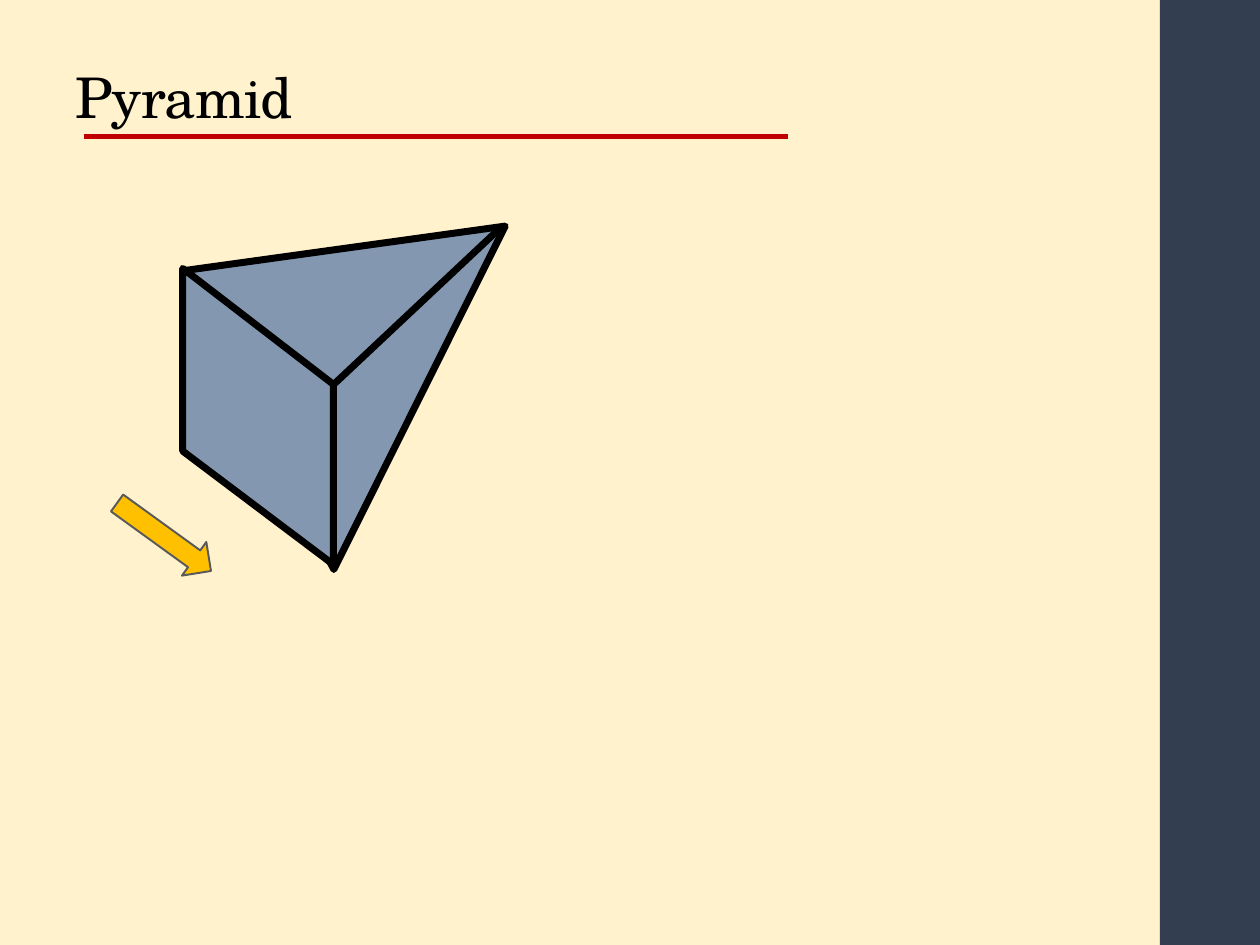
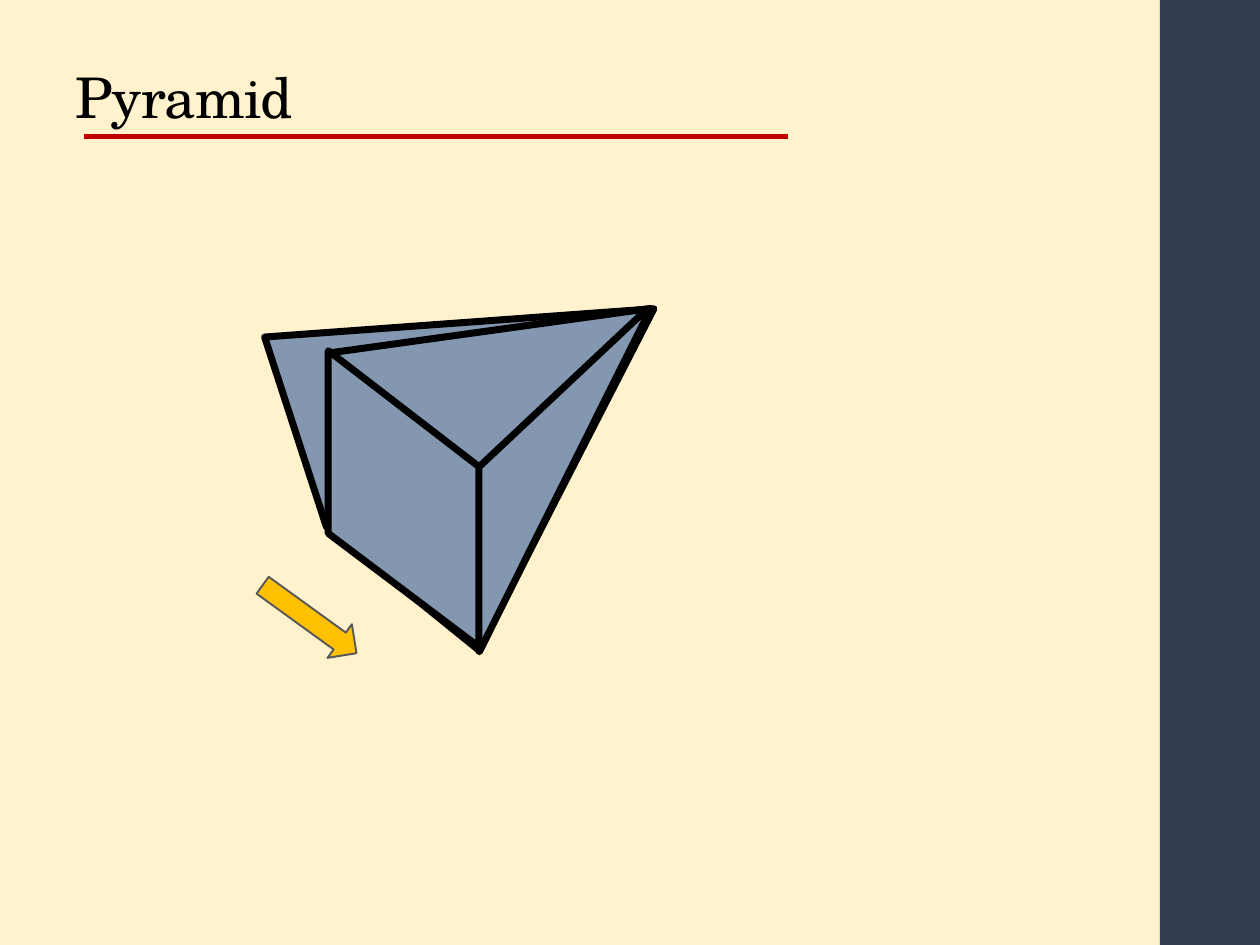
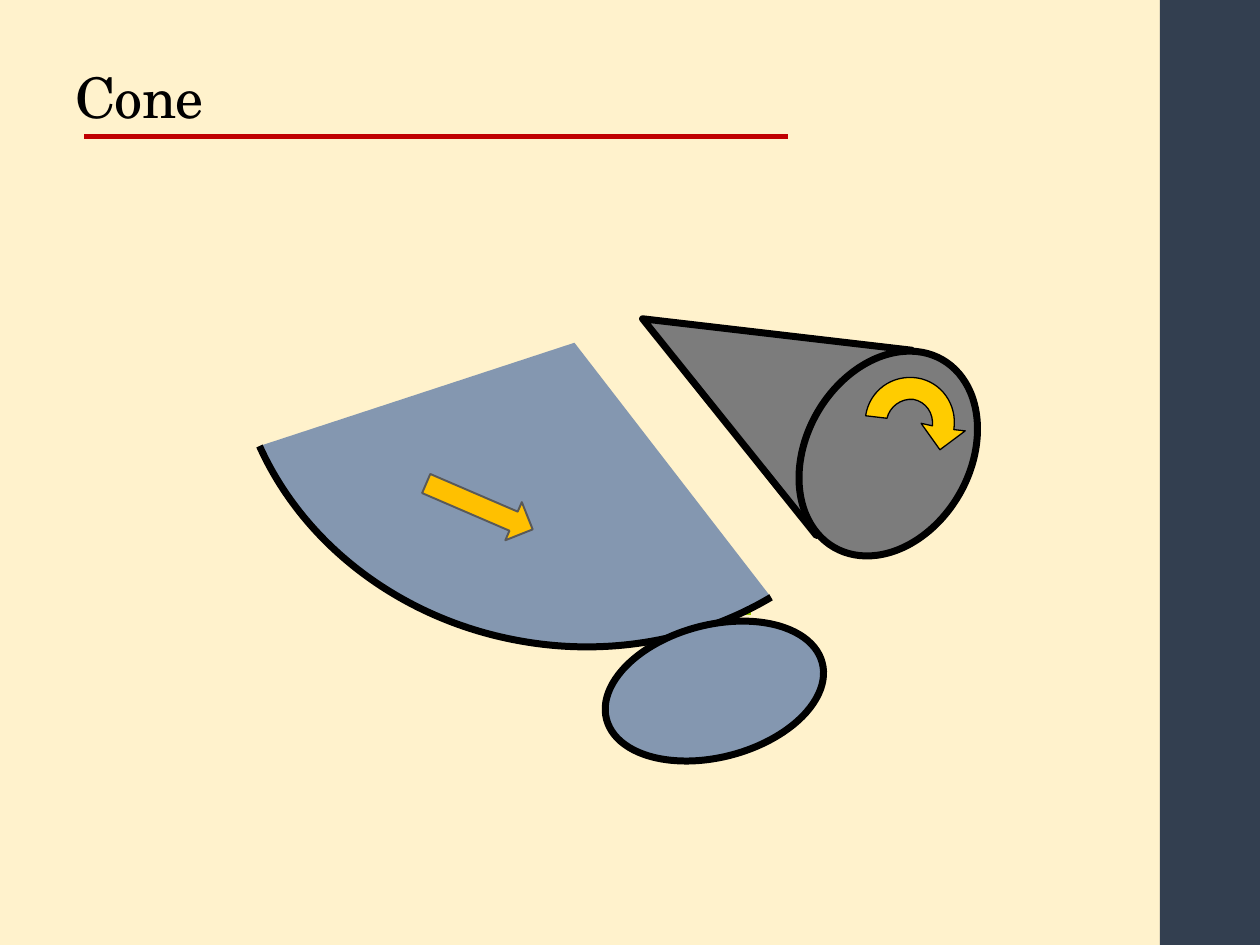
from copy import deepcopy
from dataclasses import dataclass, replace

from lxml import etree
from pptx import Presentation
from pptx import util as u
from pptx.dml.color import RGBColor
from pptx.enum import shapes, text
from pptx.oxml.ns import qn

# The page is a grid of 100 columns by 75 rows of equal squares.
CELL = u.Inches(0.1)
COLUMNS, ROWS = 100, 75

CREAM = RGBColor(0xFF, 0xF2, 0xCC)
NAVY = RGBColor(0x33, 0x3F, 0x50)
RED = RGBColor(0xC0, 0x00, 0x00)
BLACK = RGBColor(0x00, 0x00, 0x00)
STEEL = RGBColor(0x84, 0x97, 0xB0)
GREY = RGBColor(0x7C, 0x7C, 0x7C)
AMBER = RGBColor(0xFF, 0xC0, 0x00)
YELLOW = RGBColor(0xFF, 0xCC, 0x00)
LIME = RGBColor(0x99, 0xCC, 0x00)
DARK_GREY = RGBColor(0x59, 0x59, 0x59)

TITLE_FONT = "TeX Gyre Schola"
EDGE = 4

Point = tuple[float, float]


@dataclass(frozen=True)
class Outline:
    """Corner points; each index in curves starts a triple of handle, handle, end.

    With open_sides, the sides that meet in the last point have no line.
    """
    points: list[Point]
    fill: RGBColor | None = None
    line: RGBColor | None = BLACK
    weight: float = EDGE
    closed: bool = True
    curves: tuple[int, ...] = ()
    open_sides: bool = False

    def moved(self, across: float, down: float) -> "Outline":
        return replace(self, points=[(x + across, y + down) for x, y in self.points])


@dataclass(frozen=True)
class Preset:
    kind: shapes.MSO_SHAPE
    left: float
    top: float
    width: float
    height: float
    fill: RGBColor
    line: RGBColor | None = None
    weight: float = EDGE
    rotation: float = 0

    def moved(self, across: float, down: float) -> "Preset":
        return replace(self, left=self.left + across, top=self.top + down)


Part = Outline | Preset


def cells(count: float) -> u.Emu:
    return u.Emu(round(count * CELL))


def direction_arrow(left: float, top: float, rotation: float) -> Preset:
    return Preset(shapes.MSO_SHAPE.RIGHT_ARROW, left, top, 9.2, 3.3,
                  AMBER, DARK_GREY, 1.1, rotation)


def bend(path, curves: tuple[int, ...]) -> None:
    """Turn the triples of straight segments into Bezier curves."""
    segments = path.findall(qn("a:lnTo"))
    for index in curves:
        triple = segments[index - 1:index + 2]
        bezier = etree.Element(qn("a:cubicBezTo"))
        triple[0].addprevious(bezier)
        for segment in triple:
            bezier.append(segment[0])
            path.remove(segment)


def open_sides(path) -> None:
    """Split a path into a stroked open rim and an unstroked filled area."""
    rim = deepcopy(path)
    rim.set("fill", "none")
    rim.remove(rim.find(qn("a:close")))
    rim.remove(rim.findall(qn("a:lnTo"))[-1])
    path.addprevious(rim)
    path.set("stroke", "0")


def add_outline(page, part: Outline):
    points = [(cells(x), cells(y)) for x, y in part.points]
    builder = page.shapes.build_freeform(*points[0])
    builder.add_line_segments(points[1:], close=part.closed)
    shape = builder.convert_to_shape()
    path = next(shape._element.iter(qn("a:path")))
    bend(path, part.curves)
    if part.open_sides:
        open_sides(path)
    return shape


def add_preset(page, part: Preset):
    box = map(cells, (part.left, part.top, part.width, part.height))
    shape = page.shapes.add_shape(part.kind, *box)
    shape.rotation = part.rotation
    return shape


def draw(page, part: Part) -> None:
    add = add_outline if isinstance(part, Outline) else add_preset
    shape = add(page, part)
    shape.shadow.inherit = False
    if part.fill is None:
        shape.fill.background()
    else:
        shape.fill.solid()
        shape.fill.fore_color.rgb = part.fill
    if part.line is None:
        shape.line.fill.background()
    else:
        shape.line.color.rgb = part.line
        shape.line.width = u.Pt(part.weight)


def add_title(page, title: str) -> None:
    box = page.shapes.add_textbox(cells(5), cells(0.85), cells(79.5), cells(10))
    frame = box.text_frame
    frame.word_wrap = True
    frame.vertical_anchor = text.MSO_ANCHOR.BOTTOM
    frame.text = title
    para = frame.paragraphs[0]
    para.line_spacing = 0.9
    span = para.runs[0]
    span.font.name = TITLE_FONT
    span.font.size = u.Pt(32)
    span.font.color.rgb = BLACK
    span.font._element.set("spc", "-50")


def add_title_rule(page) -> None:
    height = cells(10.83)
    rule = page.shapes.add_connector(shapes.MSO_CONNECTOR.STRAIGHT,
                                     cells(6.7), height, cells(62.5), height)
    rule.line.color.rgb = RED
    rule.line.width = u.Pt(3)
    etree.SubElement(rule._element.spPr, qn("a:effectLst"))


BAND = Preset(shapes.MSO_SHAPE.RECTANGLE, 92.06, 0, COLUMNS - 92.06, ROWS, NAVY)


def add_page(deck, title: str, parts: list[Part]) -> None:
    page = deck.slides.add_slide(deck.slide_layouts[6])
    draw(page, BAND)
    add_title_rule(page)
    add_title(page, title)
    for part in parts:
        draw(page, part)


PYRAMID: list[Part] = [
    Outline([(14.5, 21.5), (40.1, 17.95), (26.5, 45.2)], STEEL),
    Outline([(26.5, 30.5), (39.7, 18.1)], closed=False),
    Outline([(14.5, 21.3), (26.45, 30.5), (26.45, 44.8), (14.5, 35.8)], STEEL),
    direction_arrow(8.42, 40.97, 35.9),
]
PYRAMID_BACK = Outline([(25.9, 41.8), (21, 26.75), (51.9, 24.5), (38, 51.6)], STEEL)

TURN_ARROW = Outline(
    [(74, 33.8), (74.1, 32.8), (73.5, 31.9), (72.5, 31.7),
     (71.5, 31.6), (70.6, 32.3), (70.4, 33.2),
     (68.7, 33), (69, 31), (70.8, 29.7), (72.8, 30),
     (74.7, 30.3), (76, 32.1), (75.7, 34.1),
     (76.6, 34.2), (74.6, 35.7), (73.1, 33.6)],
    YELLOW, weight=0.75, curves=(1, 4, 8, 11))

SECTOR = Outline(
    [(61.2, 47.4), (55.5, 50.8), (48.4, 52.1), (41.5, 50.9),
     (32.1, 49.3), (24.2, 43.4), (20.6, 35.4), (45.6, 27.2)],
    STEEL, curves=(1, 4), open_sides=True)

CONE: list[Part] = [
    Outline([(72.4, 27.8), (51, 25.3), (64.8, 42.5)], GREY),
    Preset(shapes.MSO_SHAPE.OVAL, 64, 27.4, 13, 17.2, GREY, BLACK, rotation=30),
    TURN_ARROW,
    Preset(shapes.MSO_SHAPE.RECTANGLE, 58.8, 48, 0.8, 0.8, LIME),
    SECTOR,
    Preset(shapes.MSO_SHAPE.OVAL, 47.85, 49.6, 17.7, 10.5, STEEL, BLACK, rotation=345.3),
    direction_arrow(33.45, 38.55, 23.3),
]


def main() -> None:
    deck = Presentation()
    deck.slide_width, deck.slide_height = cells(COLUMNS), cells(ROWS)
    backdrop = deck.slide_master.background.fill
    backdrop.solid()
    backdrop.fore_color.rgb = CREAM

    add_page(deck, "Pyramid", PYRAMID)
    add_page(deck, "Pyramid", [PYRAMID_BACK, *(part.moved(11.55, 6.53) for part in PYRAMID)])
    add_page(deck, "Cone", CONE)
    deck.save("out.pptx")


if __name__ == "__main__":
    main()
